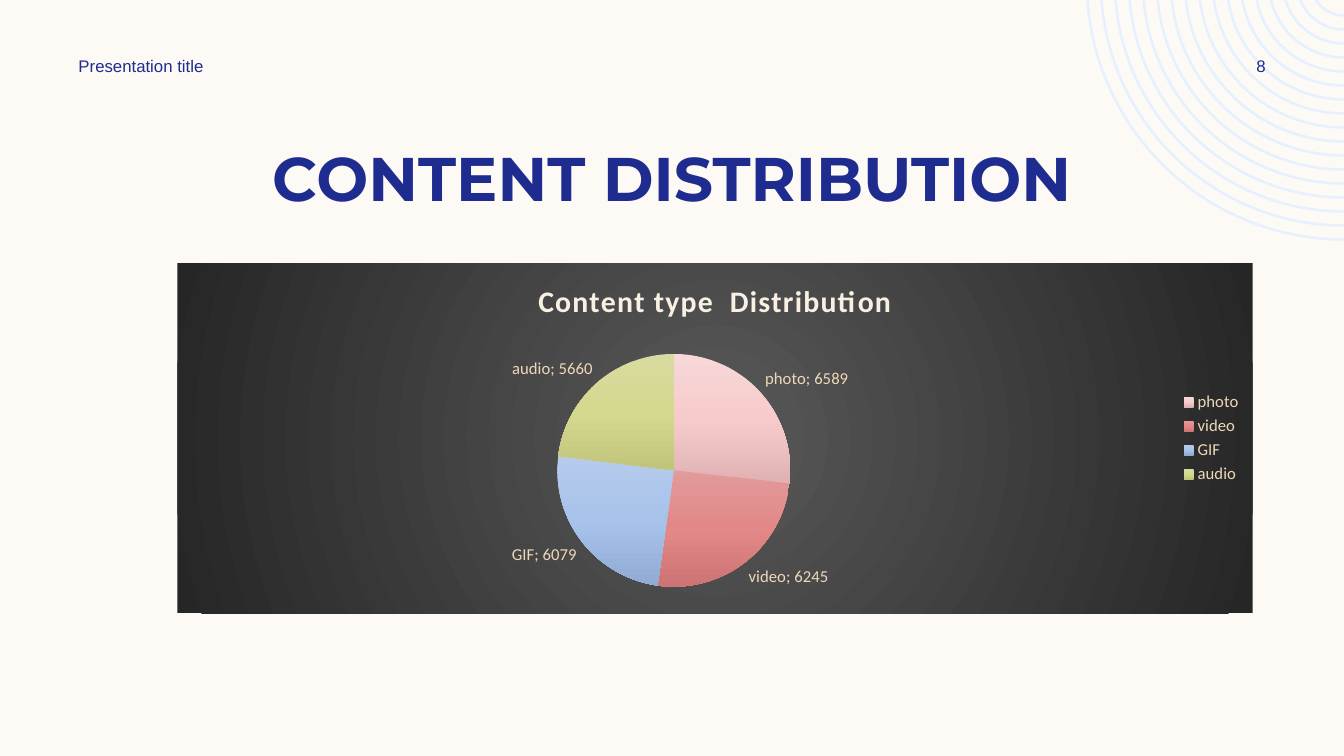
from dataclasses import dataclass
from math import asin, cos, degrees, sin

from pptx import Presentation
from pptx.chart.data import CategoryChartData
from pptx.dml.color import RGBColor
from pptx.enum.chart import XL_CHART_TYPE, XL_LABEL_POSITION, XL_LEGEND_POSITION
from pptx.enum.text import MSO_ANCHOR, PP_ALIGN
from pptx.oxml import parse_xml
from pptx.oxml.ns import nsdecls
from pptx.util import Pt

PIE = XL_CHART_TYPE.PIE
OUTSIDE = XL_LABEL_POSITION.OUTSIDE_END
RIGHT = XL_LEGEND_POSITION.RIGHT
MIDDLE = MSO_ANCHOR.MIDDLE
LEFT, CENTER = PP_ALIGN.LEFT, PP_ALIGN.CENTER

LINEAR = '<a:lin ang="5400000" scaled="0"/>'
RADIAL = ('<a:path path="circle"><a:fillToRect l="50000" t="50000" '
          'r="50000" b="50000"/></a:path>')


@dataclass(frozen=True)
class Theme:
    """Colours, fonts and type sizes of the slide."""
    background: str = "FDFAF6"
    navy: str = "1F2C8F"
    rings: str = "E6F0FE"
    chart_title: str = "F9F0E4"
    chart_text: str = "EFD8B9"
    chart_fill: tuple = ("595959", "262626")
    slices: tuple = (
        ("F7D7D8", "F7CBCC", "DFB1B2"),
        ("E39A9A", "E28888", "CE7474"),
        ("B6CBEC", "A7C2EB", "90ACD5"),
        ("D8DB9F", "D5D88F", "C1C47B"),
    )
    heading_font: str = "Montserrat"
    body_font: str = "Arial"
    chart_font: str = "Calibri"
    heading_size: float = 44
    body_size: float = 12
    chart_title_size: float = 21.3
    chart_size: float = 11.9


def gradient(colors, direction):
    """Return a gradient fill with evenly spaced stops."""
    last = len(colors) - 1
    stops = "".join(
        f'<a:gs pos="{100000 * index // last}"><a:srgbClr val="{color}"/></a:gs>'
        for index, color in enumerate(colors))
    return (f'<a:gradFill {nsdecls("a")} rotWithShape="1">'
            f'<a:gsLst>{stops}</a:gsLst>{direction}</a:gradFill>')


def bend(segment, radius, start, sweep):
    """Turn a straight outline segment into a circular arc."""
    size = Pt(radius)
    arc = parse_xml(
        f'<a:arcTo {nsdecls("a")} wR="{size}" hR="{size}" '
        f'stAng="{round(start * 60000)}" swAng="{round(sweep * 60000)}"/>')
    segment.getparent().replace(segment, arc)


class SlideBuilder:
    """Draws styled elements on one slide."""

    def __init__(self, slide, theme):
        self.slide = slide
        self.theme = theme
        fill = slide.background.fill
        fill.solid()
        fill.fore_color.rgb = RGBColor.from_string(theme.background)

    def style(self, font, name, size, color, bold=False):
        """Apply typeface, size, colour and weight."""
        font.name = name
        font.size = Pt(size)
        font.bold = bold
        font.color.rgb = RGBColor.from_string(color)

    def text(self, words, box, name, size, align=LEFT, bold=False):
        """Add a one-line navy text box."""
        shape = self.slide.shapes.add_textbox(*map(Pt, box))
        frame = shape.text_frame
        frame.word_wrap = True
        frame.vertical_anchor = MIDDLE
        paragraph = frame.paragraphs[0]
        paragraph.alignment = align
        run = paragraph.add_run()
        run.text = words
        self.style(run.font, name, size, self.theme.navy, bold)

    def rings(self, center_x, center_y, radii, thickness):
        """Add concentric arcs hanging from the top edge as one outline."""
        builder = None
        arcs = []
        for outer in radii:
            inner = outer - thickness
            tilts = [asin(-center_y / radius) for radius in (outer, inner)]
            corners = [
                (center_x - outer * cos(tilts[0]), center_y + outer * sin(tilts[0])),
                (center_x, center_y + outer),
                (center_x, center_y + inner),
                (center_x - inner * cos(tilts[1]), center_y + inner * sin(tilts[1])),
            ]
            corners = [(Pt(x), Pt(y)) for x, y in corners]
            if builder is None:
                builder = self.slide.shapes.build_freeform(*corners[0])
            else:
                builder.move_to(*corners[0])
            builder.add_line_segments(corners[1:], close=True)
            outer_tilt, inner_tilt = map(degrees, tilts)
            arcs += [(outer, 180 - outer_tilt, outer_tilt - 90), None,
                     (inner, 90, 90 - inner_tilt)]
        shape = builder.convert_to_shape()
        for segment, arc in zip(shape._element.xpath(".//a:lnTo"), arcs):
            if arc:
                bend(segment, *arc)
        shape.shadow.inherit = False
        shape.fill.solid()
        shape.fill.fore_color.rgb = RGBColor.from_string(self.theme.rings)
        shape.line.fill.background()

    def pie(self, title, values, box):
        """Add a pie chart with gradient slices on a dark panel."""
        theme = self.theme
        data = CategoryChartData()
        data.categories = list(values)
        data.add_series("Series 1", list(values.values()))
        chart = self.slide.shapes.add_chart(PIE, *map(Pt, box), data).chart
        self.style(chart.font, theme.chart_font, theme.chart_size, theme.chart_text)

        chart.has_title = True
        run = chart.chart_title.text_frame.paragraphs[0].add_run()
        run.text = title
        self.style(run.font, theme.chart_font, theme.chart_title_size,
                   theme.chart_title, bold=True)
        run.font._element.set("spc", "100")

        chart.has_legend = True
        chart.legend.position = RIGHT
        chart.legend.include_in_layout = False
        self.style(chart.legend.font, theme.chart_font, theme.chart_size,
                   theme.chart_text)

        plot = chart.plots[0]
        plot.vary_by_categories = True
        plot.has_data_labels = True
        labels = plot.data_labels
        labels.show_value = True
        labels.show_category_name = True
        labels.show_percentage = False
        labels.position = OUTSIDE
        self.style(labels.font, theme.chart_font, theme.chart_size, theme.chart_text)

        series = plot.series[0]
        for index in range(len(values)):
            series.points[index].format.line.fill.background()
        properties = series._element.xpath("c:dPt/c:spPr")
        for slice_properties, colors in zip(properties, theme.slices):
            slice_properties.insert(0, parse_xml(gradient(colors, LINEAR)))

        panel = parse_xml(
            f'<c:spPr {nsdecls("c", "a")}>{gradient(theme.chart_fill, RADIAL)}'
            '<a:ln><a:noFill/></a:ln></c:spPr>')
        chart._chartSpace.xpath("c:chart")[0].addnext(panel)


def main():
    """Build and save the content distribution slide."""
    presentation = Presentation()
    presentation.slide_width, presentation.slide_height = Pt(960), Pt(540)
    slide = presentation.slides.add_slide(presentation.slide_layouts[6])
    theme = Theme()
    builder = SlideBuilder(slide, theme)

    builder.rings(960, -12.5, [24.5 + 10 * ring for ring in range(17)], 1.8)
    builder.text("CONTENT DISTRIBUTION", (60, 96, 840, 60.5),
                 theme.heading_font, theme.heading_size, CENTER, bold=True)
    builder.text("Presentation title", (49, 36, 252, 21.6),
                 theme.body_font, theme.body_size)
    builder.text("8", (862, 36, 77.5, 21.6),
                 theme.body_font, theme.body_size, CENTER)
    builder.pie("Content type  Distribution",
                {"photo": 6589, "video": 6245, "GIF": 6079, "audio": 5660},
                (126.7, 188, 768, 250))
    presentation.save("out.pptx")


if __name__ == "__main__":
    main()
